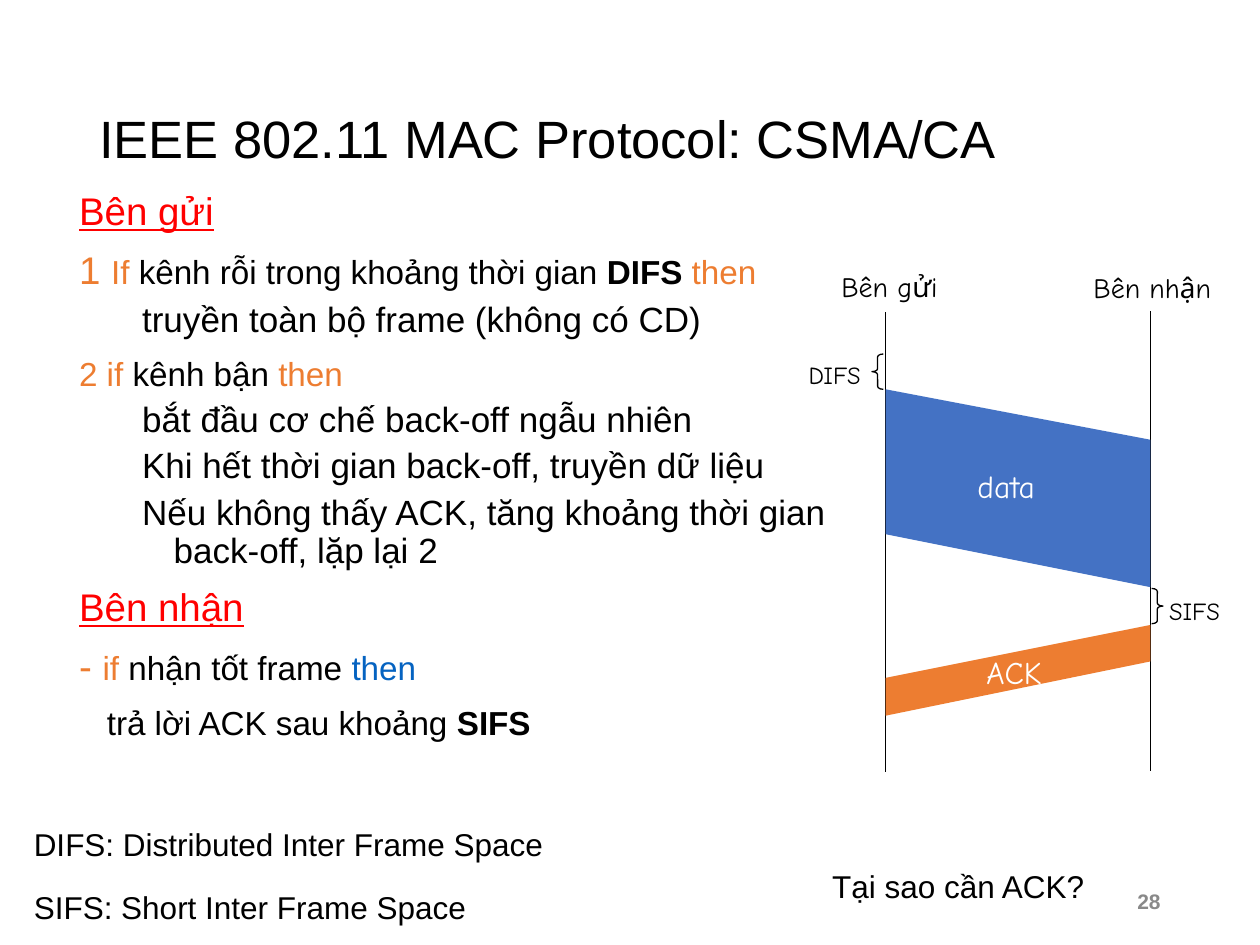
from dataclasses import dataclass
from typing import NamedTuple

from lxml.etree import SubElement
from pptx import Presentation
from pptx.dml.color import RGBColor
from pptx.enum.shapes import MSO_CONNECTOR, MSO_SHAPE
from pptx.enum.text import MSO_ANCHOR, MSO_AUTO_SIZE, PP_ALIGN
from pptx.oxml.ns import qn
from pptx.util import Inches, Pt

BLACK, WHITE, RED = "000000", "FFFFFF", "FF0000"
ORANGE, BLUE, LINK_BLUE, GRAY = "ED7D31", "4472C4", "0563C1", "898989"
BODY_FONT, DIAGRAM_FONT = "Arial", "Comic Neue"
SENDER_X, RECEIVER_X = 7.03, 9.13
TIMELINE_LENGTH = 3.65


class Run(NamedTuple):
    text: str
    size: float = 19
    color: str = BLACK
    bold: bool = False
    underline: bool = False


@dataclass
class Step:
    runs: list[Run]
    level: int = 0
    margin: float = 0.25
    indent: float = -0.25
    space_before: float = 10


class Label(NamedTuple):
    text: str
    box: tuple[float, float, float, float]
    size: float
    color: str = BLACK
    font: str = DIAGRAM_FONT
    align: PP_ALIGN = PP_ALIGN.LEFT
    wrap: bool = False


class Band(NamedTuple):
    corners: list[tuple[float, float]]
    color: str


class Brace(NamedTuple):
    preset: MSO_SHAPE
    left: float
    top: float


def heading(text: str, space_before: float = 10) -> Step:
    return Step([Run(text, 22, RED, underline=True)], space_before=space_before)


def action(text: str) -> Step:
    return Step([Run(text, 20)], level=1, margin=0.75, space_before=5)


STEPS = [
    heading("Bên gửi", space_before=0),
    Step([Run("1 ", 22, ORANGE), Run("If ", color=ORANGE),
          Run("kênh rỗi trong khoảng thời gian "),
          Run("DIFS ", bold=True), Run("then", color=ORANGE)]),
    action("truyền toàn bộ frame (không có CD)"),
    Step([Run("2 if", color=ORANGE), Run(" kênh bận"), Run(" then", color=ORANGE)]),
    action("bắt đầu cơ chế back-off ngẫu nhiên"),
    action("Khi hết thời gian back-off, truyền dữ liệu"),
    action("Nếu không thấy ACK, tăng khoảng thời gian back-off, lặp lại 2"),
    heading("Bên nhận"),
    Step([Run("- ", 22, ORANGE), Run("if ", color=ORANGE),
          Run("nhận tốt frame "), Run("then", color=LINK_BLUE)]),
    Step([Run("trả lời ACK sau khoảng "), Run("SIFS", bold=True)],
         margin=0.22, indent=0),
]

BANDS = [
    Band([(SENDER_X, 3.09), (RECEIVER_X, 3.49), (RECEIVER_X, 4.66), (SENDER_X, 4.24)], BLUE),
    Band([(SENDER_X, 5.38), (RECEIVER_X, 4.96), (RECEIVER_X, 5.25), (SENDER_X, 5.68)], ORANGE),
]

BRACES = [
    Brace(MSO_SHAPE.LEFT_BRACE, 6.92, 2.81),
    Brace(MSO_SHAPE.RIGHT_BRACE, 9.14, 4.67),
]

LABELS = [
    Label("Bên gửi", (6.58, 2.09, 0.96, 0.37), 16),
    Label("Bên nhận", (8.58, 2.1, 1.25, 0.37), 16, wrap=True),
    Label("DIFS", (6.32, 2.81, 0.62, 0.34), 14),
    Label("SIFS", (9.18, 4.68, 0.75, 0.34), 14, wrap=True),
    Label("data", (7.66, 3.66, 0.66, 0.4), 18, WHITE),
    Label("ACK", (7.73, 5.13, 0.64, 0.4), 18, WHITE),
    Label("DIFS: Distributed Inter Frame Space", (0.17, 6.5, 4.24, 0.4), 18, font=BODY_FONT),
    Label("SIFS: Short Inter Frame Space", (0.17, 7, 3.85, 0.4), 18, font=BODY_FONT, wrap=True),
    Label("Tại sao cần ACK?", (6.5, 6.83, 2.21, 0.4), 18, font=BODY_FONT,
          align=PP_ALIGN.CENTER),
]


def rgb(color: str) -> RGBColor:
    return RGBColor.from_string(color)


def add_run(paragraph, run: Run, font: str) -> None:
    part = paragraph.add_run()
    part.text = run.text
    part.font.name = font
    part.font.size = Pt(run.size)
    part.font.bold = run.bold
    part.font.underline = run.underline
    part.font.color.rgb = rgb(run.color)


def add_text(slide, text: str, box, *, size: float, color: str = BLACK,
             font: str = BODY_FONT, bold: bool = False, align=PP_ALIGN.LEFT,
             anchor=MSO_ANCHOR.TOP, wrap: bool = True, grow: bool = False,
             line_spacing: float = 1.0) -> None:
    frame = slide.shapes.add_textbox(*map(Inches, box)).text_frame
    frame.word_wrap = wrap
    frame.vertical_anchor = anchor
    frame.auto_size = MSO_AUTO_SIZE.SHAPE_TO_FIT_TEXT if grow else MSO_AUTO_SIZE.NONE
    paragraph = frame.paragraphs[0]
    paragraph.alignment = align
    paragraph.line_spacing = line_spacing
    add_run(paragraph, Run(text, size, color, bold), font)


def add_steps(slide, steps: list[Step], box) -> None:
    frame = slide.shapes.add_textbox(*map(Inches, box)).text_frame
    frame.word_wrap = True
    for index, step in enumerate(steps):
        paragraph = frame.add_paragraph() if index else frame.paragraphs[0]
        paragraph.level = step.level
        paragraph.line_spacing = 0.9
        paragraph.space_before = Pt(step.space_before)
        properties = paragraph._p.get_or_add_pPr()
        properties.set("marL", str(Inches(step.margin)))
        properties.set("indent", str(Inches(step.indent)))
        for run in step.runs:
            add_run(paragraph, run, BODY_FONT)


def add_timeline(slide, x: float, top: float) -> None:
    timeline = slide.shapes.add_connector(
        MSO_CONNECTOR.STRAIGHT, Inches(x), Inches(top),
        Inches(x), Inches(top + TIMELINE_LENGTH))
    timeline.line.color.rgb = rgb(BLACK)
    timeline.line.width = Pt(0.75)
    SubElement(timeline._element.spPr, qn("a:effectLst"))


def add_band(slide, band: Band) -> None:
    start, *others = [(Inches(x), Inches(y)) for x, y in band.corners]
    builder = slide.shapes.build_freeform(*start)
    builder.add_line_segments(others, close=True)
    shape = builder.convert_to_shape()
    shape.shadow.inherit = False
    shape.fill.solid()
    shape.fill.fore_color.rgb = rgb(band.color)
    shape.line.fill.background()


def add_brace(slide, brace: Brace) -> None:
    shape = slide.shapes.add_shape(brace.preset, Inches(brace.left), Inches(brace.top),
                                   Inches(0.09), Inches(0.28))
    shape.adjustments[0] = 0.26
    shape.shadow.inherit = False
    shape.fill.background()
    shape.line.color.rgb = rgb(BLACK)
    shape.line.width = Pt(0.75)


def main() -> None:
    deck = Presentation()
    deck.slide_width, deck.slide_height = Inches(10), Inches(7.5)
    slide = deck.slides.add_slide(deck.slide_layouts[6])

    add_text(slide, "IEEE 802.11 MAC Protocol: CSMA/CA", (0.69, 0.4, 8.63, 1.45),
             size=30, anchor=MSO_ANCHOR.MIDDLE, line_spacing=0.9)
    add_steps(slide, STEPS, (0.53, 1.48, 6.16, 5.02))
    add_text(slide, "28", (7.06, 6.95, 2.25, 0.4), size=12, color=GRAY, bold=True,
             align=PP_ALIGN.RIGHT, anchor=MSO_ANCHOR.MIDDLE)

    add_timeline(slide, SENDER_X, 2.48)
    add_timeline(slide, RECEIVER_X, 2.47)
    for band in BANDS:
        add_band(slide, band)
    for brace in BRACES:
        add_brace(slide, brace)
    for label in LABELS:
        add_text(slide, label.text, label.box, size=label.size, color=label.color,
                 font=label.font, align=label.align, wrap=label.wrap, grow=True)

    deck.save("out.pptx")


if __name__ == "__main__":
    main()
